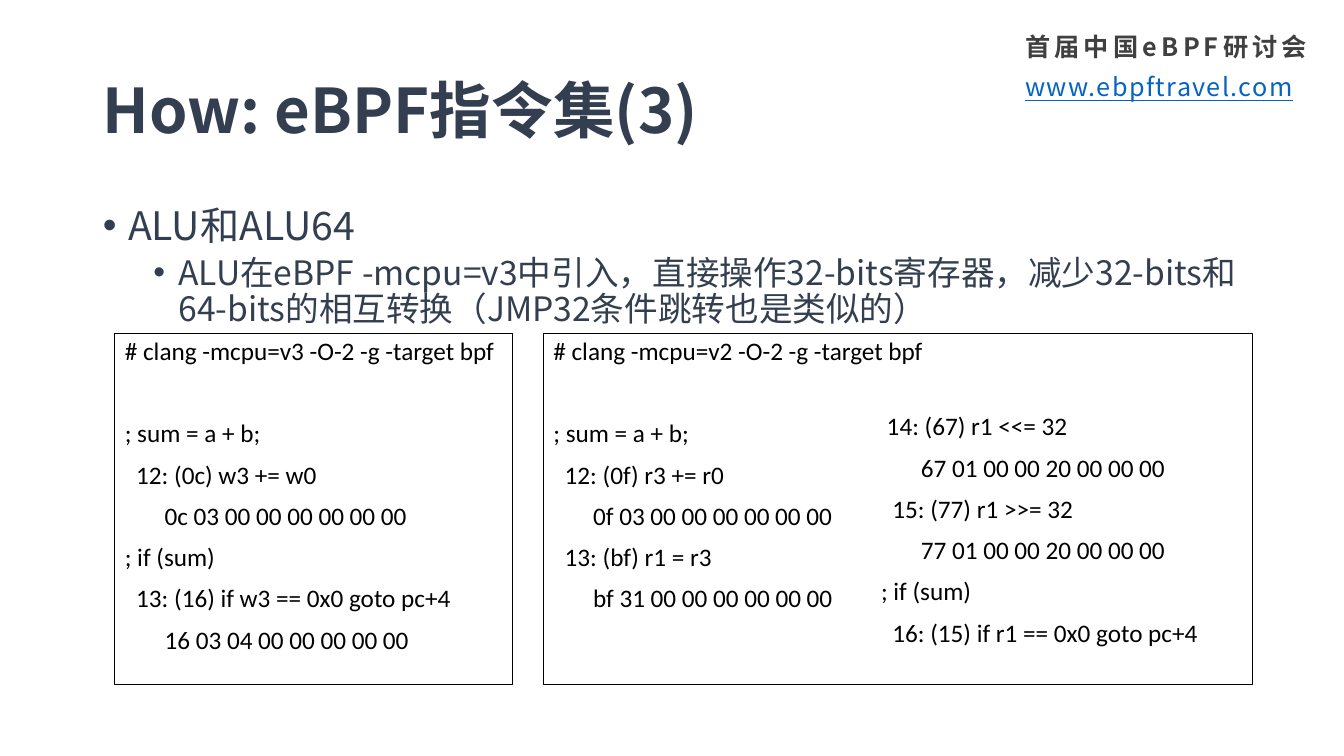
from lxml.etree import SubElement as Sub
from pptx import Presentation
from pptx.dml.color import RGBColor as Rgb
from pptx.enum.shapes import MSO_SHAPE as Kind
from pptx.enum.text import MSO_ANCHOR as Anchor, MSO_AUTO_SIZE as Auto, PP_ALIGN as Align
from pptx.oxml.ns import qn
from pptx.util import Inches, Pt

TITLE = "How: eBPF指令集(3)"
POINTS = [
    ("ALU和ALU64", 28, 0.25, 0),
    ("ALU在eBPF -mcpu=v3中引入，直接操作32-bits寄存器，减少32-bits和64-bits的相互转换（JMP32条件跳转也是类似的）", 24, 0.75, 5),
]
HEAD = [
    ("首届中国eBPF研讨会", "grey", {"bold": True}, 300),
    ("www.ebpftravel.com", "link", {"underline": True}, 100),
]
V3 = [
    "# clang -mcpu=v3 -O-2 -g -target bpf",
    "; sum = a + b;",
    "  12: (0c) w3 += w0",
    "       0c 03 00 00 00 00 00 00",
    "; if (sum)",
    "  13: (16) if w3 == 0x0 goto pc+4",
    "       16 03 04 00 00 00 00 00",
]
V2 = [
    "# clang -mcpu=v2 -O-2 -g -target bpf",
    "; sum = a + b;",
    "  12: (0f) r3 += r0",
    "       0f 03 00 00 00 00 00 00",
    "  13: (bf) r1 = r3",
    "       bf 31 00 00 00 00 00 00",
]
REST = [
    " 14: (67) r1 <<= 32",
    "       67 01 00 00 20 00 00 00",
    "  15: (77) r1 >>= 32",
    "       77 01 00 00 20 00 00 00",
    "; if (sum)",
    "  16: (15) if r1 == 0x0 goto pc+4",
]
COLORS = {"navy": "333F50", "grey": "404040", "link": "0563C1", "black": "000000"}
SANS, CODE = "Noto Sans CJK SC", "Calibri"
WIDE, HIGH = 13.33, 7.5
LEFT, SPAN = 0.92, 11.5
RIGHT = LEFT + SPAN
TOP, TALL = 3.31, 3.48
GAP, BREAK = 10, 39.5
PANELS = [(V3, 1.14, 5.08), (V2, 5.39, RIGHT)]


def color(name):
    return Rgb.from_string(COLORS[name])


def put(item, vals):
    for key, val in vals.items():
        setattr(item, key, val)


def place(shape, *box):
    put(shape, dict(zip(("left", "top", "width", "height"), map(Inches, box))))


def frame(shape, anchor=Anchor.TOP):
    body = shape.text_frame
    put(body, {"word_wrap": True, "auto_size": Auto.NONE, "vertical_anchor": anchor})
    return body


def write(para, text, size, tint, face, style={}, track=0):
    para.alignment = Align.LEFT
    run = para.add_run()
    run.text = text
    put(run.font, {"size": Pt(size), "name": face, **style})
    run.font.color.rgb = color(tint)
    props = run.font._element
    Sub(props, qn("a:ea")).set("typeface", face)
    if track:
        props.set("spc", str(track))


def lines(body, items):
    for i, item in enumerate(items):
        yield (body.add_paragraph() if i else body.paragraphs[0]), item


def code(shape, texts, split):
    for para, text in lines(frame(shape), texts):
        gap = 0 if text == texts[0] else BREAK if split and text == texts[1] else GAP
        put(para, {"line_spacing": 0.9, "space_before": Pt(gap)})
        write(para, text, 18, "black", CODE)


def main():
    deck = Presentation()
    put(deck, {"slide_width": Inches(WIDE), "slide_height": Inches(HIGH)})
    slide = deck.slides.add_slide(deck.slide_layouts[1])
    shapes = slide.shapes

    for i, (text, tint, style, track) in enumerate(HEAD):
        box = shapes.add_textbox(0, 0, 0, 0)
        place(box, 10.07, 0.26 + 0.4 * i, 3.17, 0.4)
        write(frame(box).paragraphs[0], text, 18, tint, SANS, style, track)

    title, body = slide.placeholders
    place(title, LEFT, 0.4, SPAN, 1.45)
    para = frame(title, Anchor.MIDDLE).paragraphs[0]
    para.line_spacing = 0.9
    write(para, TITLE, 44, "navy", SANS, {"bold": True})

    place(body, LEFT, 2, SPAN, 1.32)
    for level, (para, (text, size, dent, gap)) in enumerate(lines(frame(body), POINTS)):
        put(para, {"level": level, "line_spacing": 0.9, "space_before": Pt(gap)})
        props = para._p.get_or_add_pPr()
        props.set("marL", str(Inches(dent)))
        props.set("indent", str(Inches(-0.25)))
        Sub(props, qn("a:buFont")).set("typeface", "Arial")
        Sub(props, qn("a:buChar")).set("char", "•")
        write(para, text, size, "navy", SANS)

    for texts, start, end in PANELS:
        panel = shapes.add_shape(Kind.RECTANGLE, 0, 0, 0, 0)
        place(panel, start, TOP, end - start, TALL)
        panel.shadow.inherit = False
        panel.fill.background()
        panel.line.color.rgb = color("black")
        panel.line.width = Pt(0.75)
        code(panel, texts, True)

    rest = shapes.add_textbox(0, 0, 0, 0)
    place(rest, 8.64, 4.06, 3.42, 2.6)
    code(rest, REST, False)
    deck.save("out.pptx")


if __name__ == "__main__":
    main()
